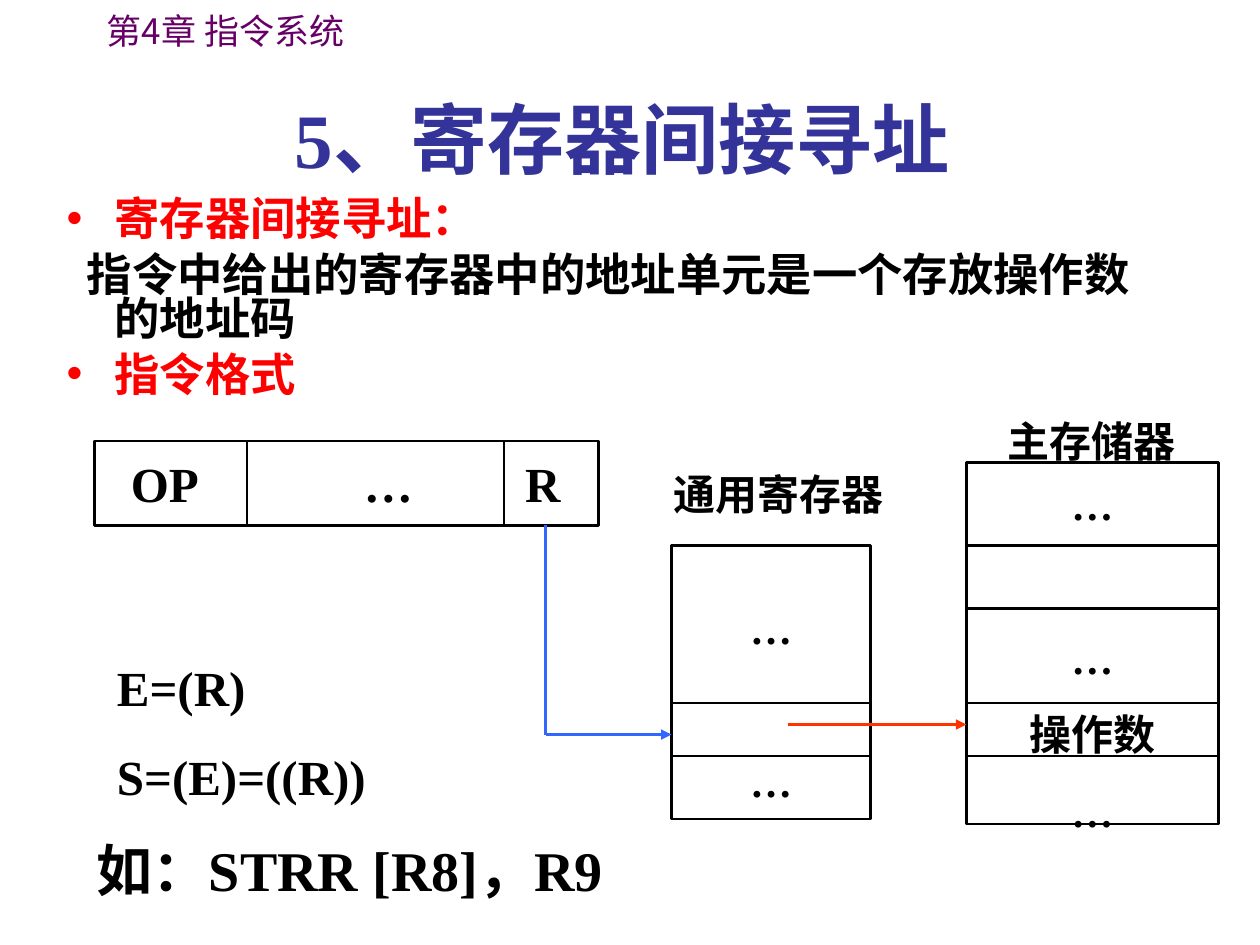
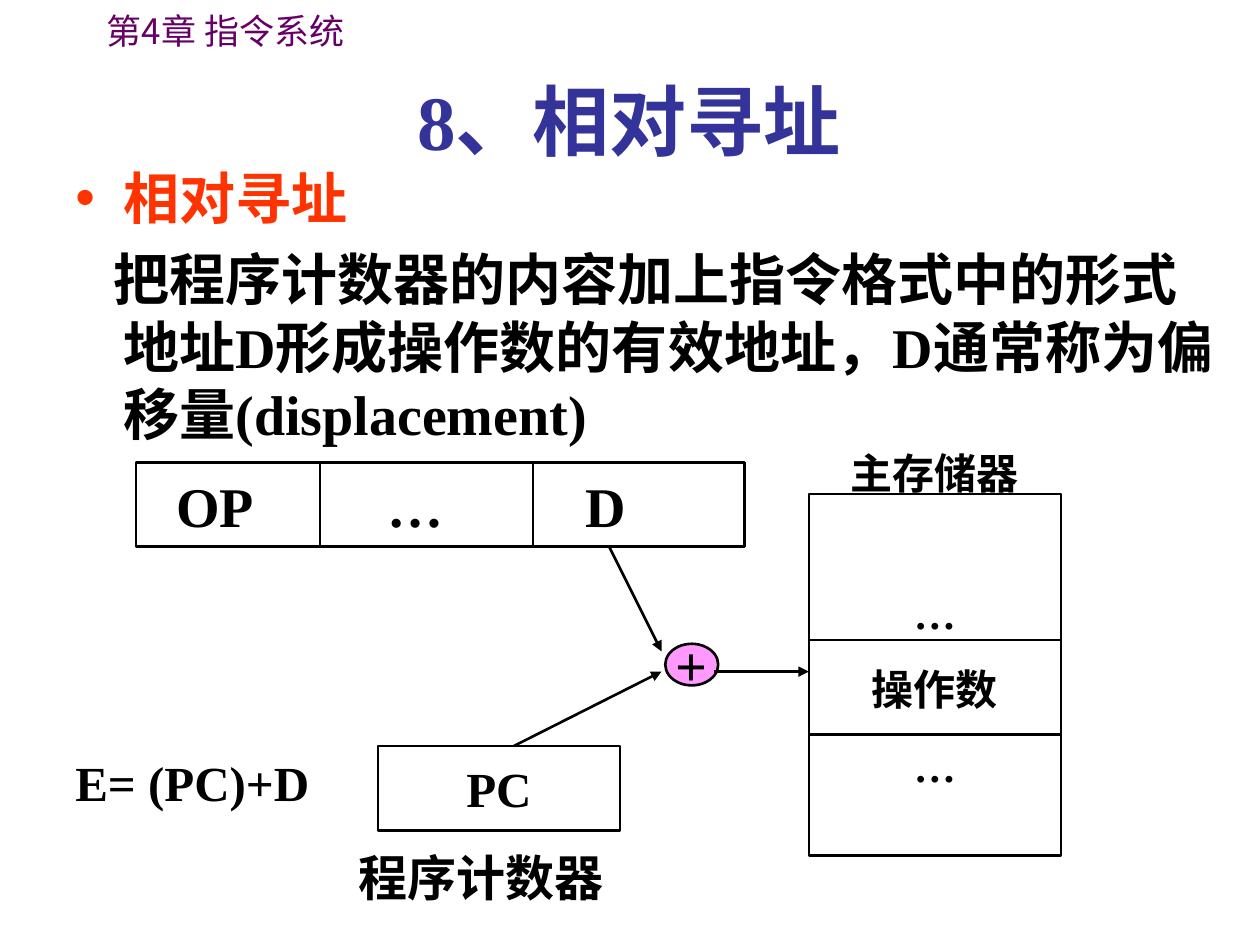
from pptx import Presentation
from pptx.dml.color import RGBColor
from pptx.enum import shapes, text
from pptx.oxml.ns import qn
from pptx.util import Inches, Pt
from lxml import etree

THEME = dict(
    ink="000000", paper="FFFFFF", heading="333399", chapter="660066",
    red="FF0000", orange="FF3300", blue="3366FF", pink="FF99FF",
    serif="Times New Roman", sans="DejaVu Sans", cjk="Noto Sans CJK SC",
    title=44, large=32, medium=28, cell=24, small=20, body=25.9,
    line=1.5, leading=1.2,
)
T = THEME
CHAPTER = "第4章 指令系统"
CHAPTER_AT = (0.75, 0.03, 3.07, 0.44)
WORD_HEIGHT = 0.67
FIELD_WIDTH = 0.95
MEMORY_SIZE = (2, 2.87)
BLANK_ROW = 15 + 15 + T["cell"] * T["leading"]  # gap that skips one row
SANS = dict(font=T["sans"])
HANG = 0.38

# Content: a paragraph is (text, format); all lengths are inches.
# Fields of an instruction word are (text, distance from the word's left edge).
SLIDES = [
    dict(
        title="5、寄存器间接寻址", title_at=(0, 0.68, 9.88, 0.83),
        body_at=(0.43, 1.55, 8.99, 1.7),
        body_format=dict(size=T["body"], font=T["cjk"], leading=0.96, gap=7),
        body=[("寄存器间接寻址：", dict(color=T["red"], bullet="•")),
              ("指令中给出的寄存器中的地址单元是一个存放操作数的地址码",
               dict(indent=-0.22)),
              ("指令格式", dict(color=T["red"], bullet="•"))],
        word=dict(at=(0.75, 3.5), width=4, size=T["medium"],
                  fields=[("OP", 0.19), ("…", 2.04), ("R", 3.32)],
                  dividers=(1.96, 4)),
        stacks=[
            dict(at=(7.67, 3.67, *MEMORY_SIZE), dividers=(4.33, 4.83, 5.58, 6),
                 name="主存储器", name_at=(7.33, 3.25, 2.67, 0.5),
                 name_format=dict(align="CENTER", **SANS), rows_top=3.75,
                 rows=[("…", {}), ("…", dict(gap=BLANK_ROW)),
                       ("操作数", SANS), ("…", {})]),
            dict(at=(5.33, 4.33, 1.58, 2.17), dividers=(5.58, 6),
                 name="通用寄存器", name_at=(5.25, 3.67, 2, 0.5),
                 name_format={}, rows_top=4.73,
                 rows=[("…", {}), ("…", dict(gap=BLANK_ROW))]),
        ],
        notes=[((0.67, 6.58, 5.17, 0.64), ["如：STRR [R8]，R9"], T["large"]),
               ((0.83, 5.17, 2.58, 1.28), ["E=(R)", "S=(E)=((R))"],
                T["medium"])],
        lines=[((6.25, 5.75), (7.67, 5.75), T["orange"], True),
               ((4.33, 4.17), (4.33, 5.83), T["blue"], False),
               ((4.33, 5.83), (5.33, 5.83), T["blue"], True)],
        nodes=[],
    ),
    dict(
        title="8、相对寻址", title_at=(0.66, 0.65, 8.67, 0.6),
        body_at=(0.5, 1.25, 9.25, 2.42),
        body_format=dict(size=T["large"], gap=8),
        body=[("相对寻址", dict(color=T["orange"], bullet="•")),
              ("把程序计数器的内容加上指令格式中的形式地址D形成操作数的有效地址，"
               "D通常称为偏移量(displacement)", dict(indent=-0.08))],
        word=dict(at=(1.08, 3.67), width=4.83, size=T["large"],
                  fields=[("OP", 0.22), ("…", 1.9), ("D", 3.47)],
                  dividers=(2.54, 4.23)),
        stacks=[
            dict(at=(6.42, 3.92, *MEMORY_SIZE), dividers=(5.08, 5.83),
                 name="主存储器", name_at=(6.08, 3.5, 2.67, 0.5),
                 name_format=dict(align="CENTER", **SANS), rows_top=4.61,
                 rows=[("…", {}), ("操作数", SANS), ("…", {})]),
        ],
        notes=[((2.75, 6.68, 2.92, 0.57), ["程序计数器"], T["medium"]),
               ((0.5, 5.92, 2.25, 0.57), ["E= (PC)+D"], T["medium"])],
        lines=[((4.83, 4.33), (5.25, 5.17), T["ink"], True),
               ((4.08, 5.92), (5.25, 5.33), T["ink"], True),
               ((5.67, 5.33), (6.42, 5.33), T["ink"], True)],
        nodes=[("RECTANGLE", (3, 5.92, 1.92, 0.67), "PC", T["medium"],
                T["paper"]),
               ("OVAL", (5.28, 5.11, 0.42, 0.33), "+", T["large"],
                T["pink"])],
    ),
]


def rgb(color):
    return RGBColor.from_string(color)


def inches(*lengths):
    return [Inches(length) for length in lengths]


def add_paragraph(paragraph, words, size=T["cell"], font=T["serif"],
                  color=T["ink"], bold=True, align="LEFT", gap=0,
                  leading=T["leading"], bullet=None, margin=0, indent=0):
    """Write one formatted paragraph; leading is a share of the type size."""
    props = paragraph._p.get_or_add_pPr()
    props.set("marL", str(Inches(margin)))
    props.set("indent", str(Inches(indent)))
    if bullet:
        tint = etree.SubElement(props, qn("a:buClr"))
        etree.SubElement(tint, qn("a:srgbClr"), val=color)
        etree.SubElement(props, qn("a:buFont"), typeface="Arial")
        etree.SubElement(props, qn("a:buChar"), char=bullet)
    else:
        etree.SubElement(props, qn("a:buNone"))
    paragraph.alignment = getattr(text.PP_ALIGN, align)
    paragraph.line_spacing = Pt(round(size * leading, 1))
    paragraph.space_before = Pt(gap)
    run = paragraph.add_run()
    run.text = words
    run.font.size, run.font.bold, run.font.name = Pt(size), bold, font
    run.font.color.rgb = rgb(color)
    etree.SubElement(run._r.get_or_add_rPr(), qn("a:ea"), typeface=T["cjk"])


def write(frame, paragraphs, anchor="TOP", wrap=True, gap=0, **shared):
    """Fill a frame with (text, format) pairs over a shared format."""
    frame.word_wrap = wrap
    frame.vertical_anchor = getattr(text.MSO_ANCHOR, anchor)
    frame.margin_left = frame.margin_right = Inches(0.1)
    frame.margin_top = frame.margin_bottom = Inches(0.05)
    for number, (words, own) in enumerate(paragraphs):
        paragraph = frame.add_paragraph() if number else frame.paragraphs[0]
        own_gap = dict(gap=gap if number else 0)
        add_paragraph(paragraph, words, **{**shared, **own_gap, **own})


def add_text(slide, at, paragraphs, **shared):
    write(slide.shapes.add_textbox(*inches(*at)).text_frame, paragraphs,
          **shared)


def add_box(slide, at, kind="RECTANGLE", fill=T["paper"]):
    box = slide.shapes.add_shape(getattr(shapes.MSO_SHAPE, kind), *inches(*at))
    box.shadow.inherit = False
    box.fill.solid()
    box.fill.fore_color.rgb = rgb(fill)
    box.line.color.rgb = rgb(T["ink"])
    box.line.width = Pt(T["line"])
    return box


def add_line(slide, start, end, color=T["ink"], arrow=False):
    line = slide.shapes.add_connector(shapes.MSO_CONNECTOR.STRAIGHT,
                                      *inches(*start, *end))
    line.line.color.rgb = rgb(color)
    line.line.width = Pt(T["line"])
    if arrow:
        etree.SubElement(line.line._get_or_add_ln(), qn("a:tailEnd"),
                         type="triangle")
    etree.SubElement(line._element.spPr, qn("a:effectLst"))


def add_word(slide, at, width, size, fields, dividers):
    """Draw an instruction word with one label per field."""
    left, top = at
    add_box(slide, (left, top, width, WORD_HEIGHT))
    for x in dividers:
        add_line(slide, (x, top), (x, top + WORD_HEIGHT))
    for field, offset in fields:
        add_text(slide, (left + offset, top, FIELD_WIDTH, WORD_HEIGHT),
                 [(field, {})], anchor="MIDDLE", size=size)


def add_stack(slide, at, dividers, name, name_at, name_format, rows_top, rows):
    """Draw a column of storage cells under its name."""
    left, top, width, height = at
    add_box(slide, at)
    add_text(slide, (left, rows_top, width, top + height - rows_top), rows,
             align="CENTER", gap=15)
    for y in dividers:
        add_line(slide, (left, y), (left + width, y))
    add_text(slide, name_at, [(name, name_format)])


def build_slide(deck, content):
    slide = deck.slides.add_slide(deck.slide_layouts[6])
    # Chapter, title and body
    add_text(slide, CHAPTER_AT, [(CHAPTER, {})], size=T["small"],
             font=T["cjk"], color=T["chapter"], bold=False)
    add_text(slide, content["title_at"], [(content["title"], {})],
             anchor="MIDDLE", size=T["title"], color=T["heading"],
             align="CENTER")
    add_text(slide, content["body_at"], content["body"], margin=HANG,
             indent=-HANG, **content["body_format"])
    # Diagram
    add_word(slide, **content["word"])
    for stack in content["stacks"]:
        add_stack(slide, **stack)
    for kind, at, label, size, fill in content["nodes"]:
        write(add_box(slide, at, kind, fill).text_frame, [(label, {})],
              anchor="MIDDLE", wrap=False, align="CENTER", size=size)
    for line in content["lines"]:
        add_line(slide, *line)
    # Formulas and captions
    for at, words, size in content["notes"]:
        add_text(slide, at, [(each, {}) for each in words], size=size,
                 gap=17.5)


def main():
    deck = Presentation()
    deck.slide_width, deck.slide_height = inches(10, 7.5)
    for content in SLIDES:
        build_slide(deck, content)
    deck.save("out.pptx")


if __name__ == "__main__":
    main()
